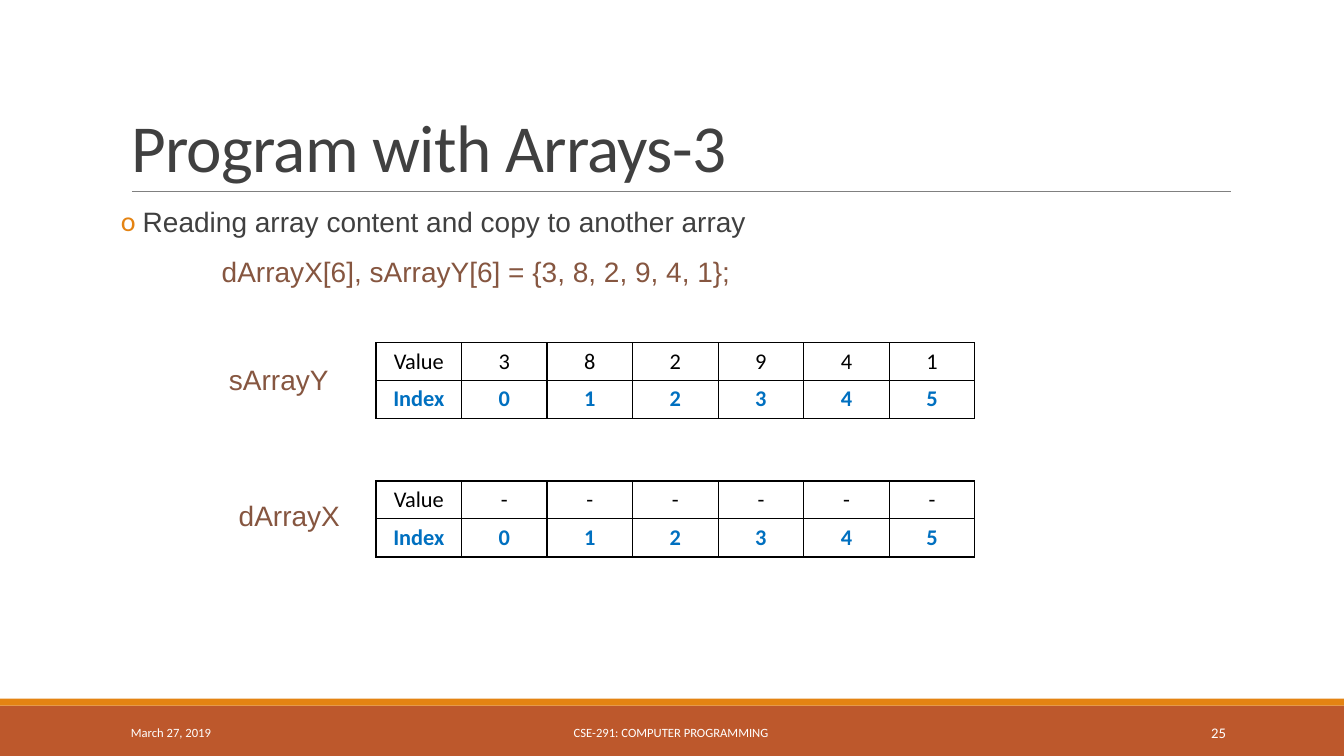
from pptx import Presentation
from pptx.dml.color import RGBColor
from pptx.enum.shapes import MSO_CONNECTOR as Connector, MSO_SHAPE as Preset
from pptx.enum.text import MSO_ANCHOR as Anchor, MSO_AUTO_SIZE as AutoSize, PP_ALIGN as Align
from pptx.oxml import parse_xml
from pptx.oxml.ns import nsdecls
from pptx.util import Pt

WHITE, BLACK, GRAY = "FFFFFF", "000000", "404040"
ORANGE, RUST, BROWN, BLUE = "E48312", "BD582C", "865640", "0070C0"


def color(code):
    return RGBColor.from_string(code)


def write(paragraph, text, size=20, font="Calibri", fill=GRAY, bold=False,
          align=Align.LEFT, line=None, before=0, after=0):
    paragraph.alignment = align
    paragraph.space_before, paragraph.space_after = Pt(before), Pt(after)
    if line:
        paragraph.line_spacing = line
    run = paragraph.add_run()
    run.text = text
    run.font.size, run.font.name, run.font.bold = Pt(size), font, bold
    run.font.color.rgb = color(fill)
    return run


def indent(paragraph, left, hanging=0):
    properties = paragraph._p.get_or_add_pPr()
    properties.set("marL", str(Pt(left)))
    properties.set("indent", str(Pt(-hanging)))
    return properties


class ArraySlide:
    def __init__(self, deck):
        self.slide = deck.slides.add_slide(deck.slide_layouts[5])
        self.shapes = self.slide.shapes
        background = self.slide.background.fill
        background.solid()
        background.fore_color.rgb = color(WHITE)

    def place(self, shape, left, top, width, height):
        shape.left, shape.top = Pt(left), Pt(top)
        shape.width, shape.height = Pt(width), Pt(height)

    def title(self, text, *box):
        heading = self.shapes.title
        self.place(heading, *box)
        frame = heading.text_frame
        frame.auto_size, frame.word_wrap = AutoSize.NONE, True
        frame.vertical_anchor = Anchor.BOTTOM
        run = write(frame.paragraphs[0], text, size=48, line=0.85)
        run.font._element.set("spc", "-50")

    def band(self, fill, *box):
        band = self.shapes.add_shape(Preset.RECTANGLE, *map(Pt, box))
        band.shadow.inherit = False
        band.fill.solid()
        band.fill.fore_color.rgb = color(fill)
        band.line.fill.background()

    def rule(self, left, right, y):
        rule = self.shapes.add_connector(Connector.STRAIGHT, Pt(left), Pt(y), Pt(right), Pt(y))
        rule.line.color.rgb = color("808080")
        rule.line.width = Pt(0.5)
        rule._element.spPr.append(parse_xml(f"<a:effectLst {nsdecls('a')}/>"))

    def frame(self, *box, anchor=Anchor.MIDDLE, side=7.2):
        frame = self.shapes.add_textbox(*map(Pt, box)).text_frame
        frame.word_wrap = True
        frame.vertical_anchor = anchor
        frame.margin_left = frame.margin_right = Pt(side)
        return frame

    def label(self, text, *box, side=7.2, **style):
        write(self.frame(*box, side=side).paragraphs[0], text, **style)

    def body(self, point, code, *box):
        frame = self.frame(*box, anchor=Anchor.TOP, side=0)
        spacing = dict(font="Arial", line=0.9, before=12, after=2)
        bullet = frame.paragraphs[0]
        write(bullet, point, **spacing)
        properties = indent(bullet, 15.6, 15.6)
        for mark in (f'<a:buClr {nsdecls("a")}><a:srgbClr val="{ORANGE}"/></a:buClr>',
                     f'<a:buFont {nsdecls("a")} typeface="Calibri"/>',
                     f'<a:buChar {nsdecls("a")} char="o"/>'):
            properties.append(parse_xml(mark))
        declaration = frame.add_paragraph()
        write(declaration, code, fill=BROWN, **spacing)
        indent(declaration, 72)

    def borders(self, cell):
        properties = cell._tc.get_or_add_tcPr()
        for side in ("lnL", "lnR", "lnT", "lnB"):
            properties.append(parse_xml(
                f'<a:{side} {nsdecls("a")} w="{Pt(1)}"><a:solidFill>'
                f'<a:srgbClr val="{BLACK}"/></a:solidFill></a:{side}>'))

    def array(self, values, left, top, column=61.1, heights=(27, 27.3)):
        rows = (["Value", *values], ["Index", *range(len(values))])
        columns = len(rows[0])
        table = self.shapes.add_table(len(rows), columns, Pt(left), Pt(top),
                                      Pt(column * columns), Pt(sum(heights))).table
        table.first_row = table.horz_banding = False
        for part in table.columns:
            part.width = Pt(column)
        styles = (dict(fill=BLACK), dict(fill=BLUE, bold=True))
        for r, (row, height, style) in enumerate(zip(rows, heights, styles)):
            table.rows[r].height = Pt(height)
            for c, entry in enumerate(row):
                cell = table.cell(r, c)
                self.borders(cell)
                cell.fill.solid()
                cell.fill.fore_color.rgb = color(WHITE)
                write(cell.text_frame.paragraphs[0], str(entry), size=16,
                      align=Align.CENTER, **style)


def main():
    deck = Presentation()
    deck.slide_width, deck.slide_height = Pt(960), Pt(540)
    page = ArraySlide(deck)

    page.band(RUST, 0, 504, 960, 36)
    page.band(ORANGE, 0, 499, 960, 5)
    page.rule(94.3, 879, 136.8)
    page.title("Program with Arrays-3", 86.4, 22.3, 792, 114.5)
    page.body("Reading array content and copy to another array",
              "dArrayX[6], sArrayY[6] = {3, 8, 2, 9, 4, 1};", 86.4, 145.4, 825, 80)

    arrays = (("sArrayY", (3, 8, 2, 9, 4, 1), 163.5, 257, 244.8),
              ("dArrayX", "-" * 6, 170.5, 354.4, 343.6))
    for name, values, name_left, name_top, table_top in arrays:
        page.label(name, name_left, name_top, 90, 28, side=0, font="Arial", fill=BROWN)
        page.array(values, 268.6, table_top)

    footers = (("March 27, 2019", 86.4, 194.4, 9, Align.LEFT),
               ("CSE-291: COMPUTER PROGRAMMING", 289.5, 379.5, 9, Align.CENTER),
               ("25", 779.8, 103, 10.5, Align.RIGHT))
    for text, left, width, size, align in footers:
        page.label(text, left, 508.6, width, 28.8, size=size, fill=WHITE, align=align)

    deck.save("out.pptx")


if __name__ == "__main__":
    main()
